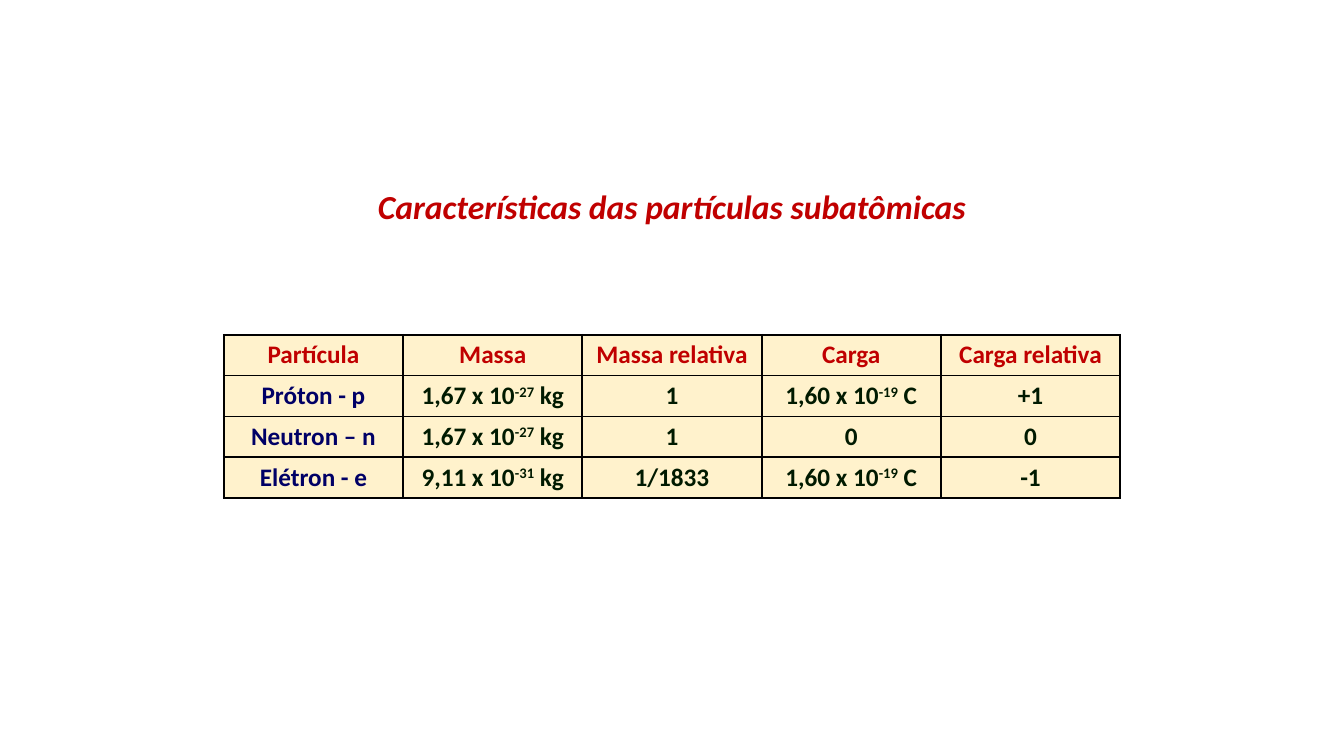
from lxml.etree import SubElement
from pptx import Presentation
from pptx.dml.color import RGBColor
from pptx.enum.text import MSO_ANCHOR, PP_ALIGN
from pptx.oxml.ns import qn
from pptx.util import Inches, Pt

RED, NAVY, GREEN, CREAM, BLACK = "C00000", "000066", "001A00", "FFF2CC", "000000"
TITLE = "Características das partículas subatômicas"
PARTICLES = [
    ["Partícula", "Massa", "Massa relativa", "Carga", "Carga relativa"],
    ["Próton - p", "1,67 x 10^-27^ kg", "1", "1,60 x 10^-19^ C", "+1"],
    ["Neutron – n", "1,67 x 10^-27^ kg", "1", "0", "0"],
    ["Elétron - e", "9,11 x 10^-31^ kg", "1/1833", "1,60 x 10^-19^ C", "-1"],
]


def color(value):
    """Turn a hex string into a colour."""
    return RGBColor.from_string(value)


def format_run(run, size, font_color, italic=False):
    """Apply the bold Calibri style to a run."""
    run.font.name = "Calibri"
    run.font.size = Pt(size)
    run.font.bold = True
    run.font.italic = italic
    run.font.color.rgb = color(font_color)


def add_borders(cell, line_color, width):
    """Draw a solid line on the four sides of a cell."""
    properties = cell._tc.get_or_add_tcPr()
    for side in ("lnL", "lnR", "lnT", "lnB"):
        line = SubElement(properties, qn(f"a:{side}"), w=str(Pt(width)))
        fill = SubElement(line, qn("a:solidFill"))
        SubElement(fill, qn("a:srgbClr"), val=line_color)


def fill_cell(cell, text, font_color):
    """Write centred text in a cell, raising the parts between carets."""
    add_borders(cell, BLACK, 1.5)
    cell.fill.solid()
    cell.fill.fore_color.rgb = color(CREAM)
    paragraph = cell.text_frame.paragraphs[0]
    paragraph.alignment = PP_ALIGN.CENTER
    for index, part in enumerate(text.split("^")):
        run = paragraph.add_run()
        run.text = part
        format_run(run, 18, font_color)
        if index % 2:
            run.font._element.set("baseline", "30000")


def add_title(slide, left, top, width, height):
    """Place the slide title in the given box."""
    title = slide.shapes.title
    title.left, title.top = Inches(left), Inches(top)
    title.width, title.height = Inches(width), Inches(height)
    text_frame = title.text_frame
    text_frame.text = TITLE
    text_frame.vertical_anchor = MSO_ANCHOR.MIDDLE
    paragraph = text_frame.paragraphs[0]
    paragraph.alignment = PP_ALIGN.CENTER
    format_run(paragraph.runs[0], 24, RED, italic=True)


def add_particle_table(slide, left, top, width, height):
    """Place the table of particles in the given box."""
    table = slide.shapes.add_table(
        len(PARTICLES), len(PARTICLES[0]),
        Inches(left), Inches(top), Inches(width), Inches(height),
    ).table
    for row, values in enumerate(PARTICLES):
        for column, text in enumerate(values):
            font_color = RED if row == 0 else NAVY if column == 0 else GREEN
            fill_cell(table.cell(row, column), text, font_color)


def main():
    """Build and save the presentation."""
    presentation = Presentation()
    presentation.slide_width, presentation.slide_height = Inches(13.33), Inches(7.5)
    slide = presentation.slides.add_slide(presentation.slide_layouts[5])
    left, width = 2.22, 8.89
    add_title(slide, left, 1.79, width, 0.5)
    add_particle_table(slide, left, 3.32, width, 1.62)
    presentation.save("out.pptx")


if __name__ == "__main__":
    main()
